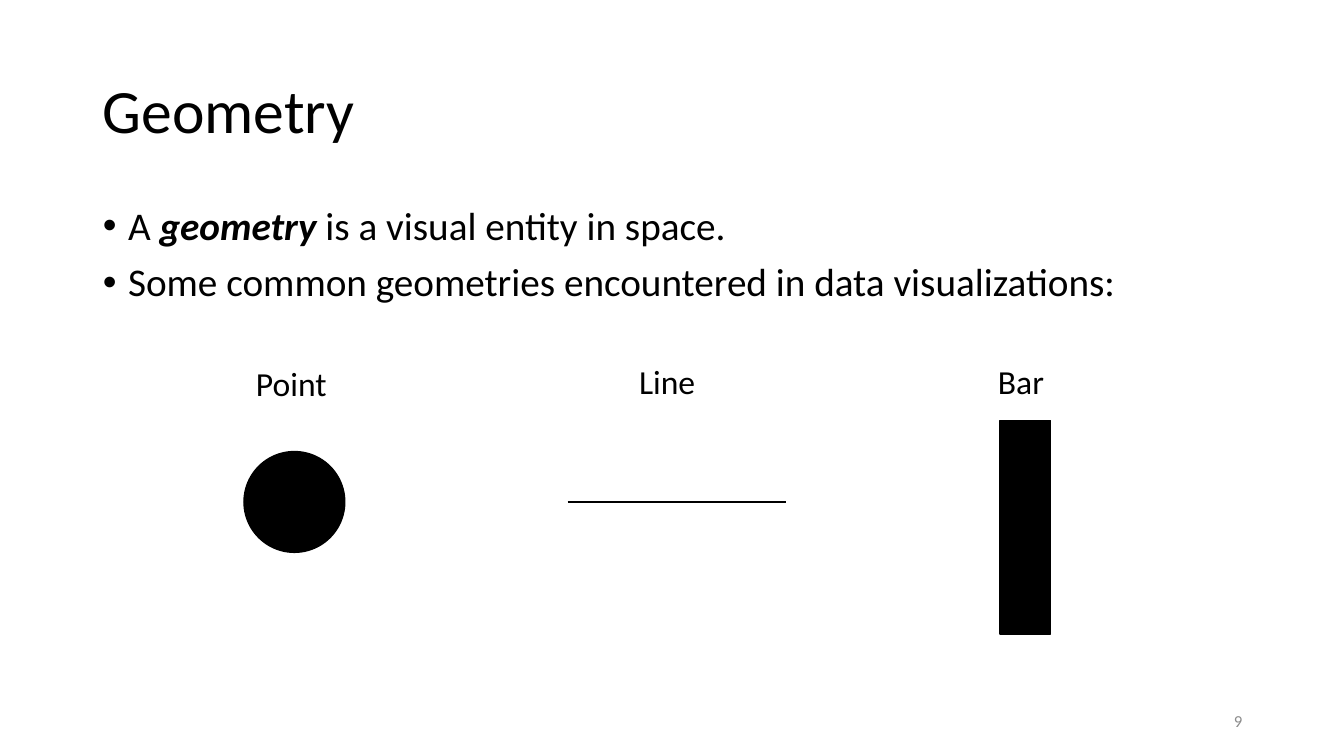
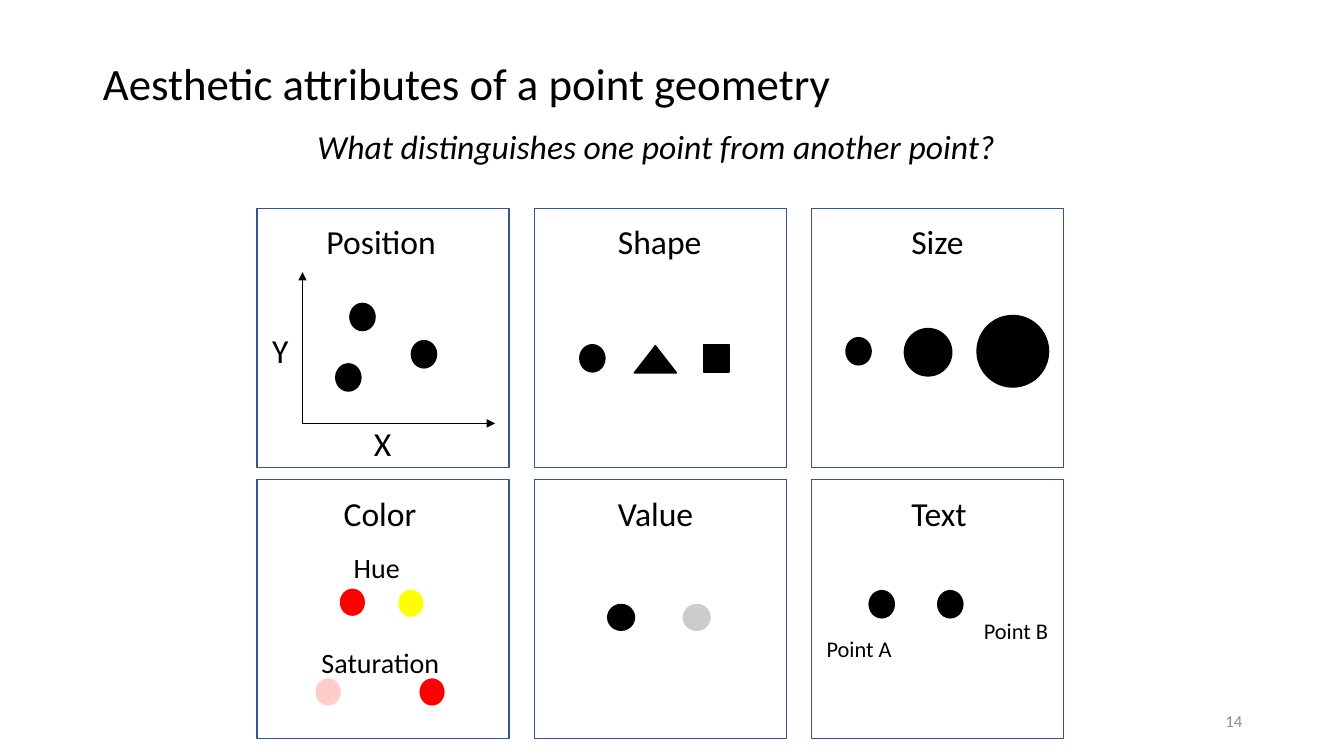
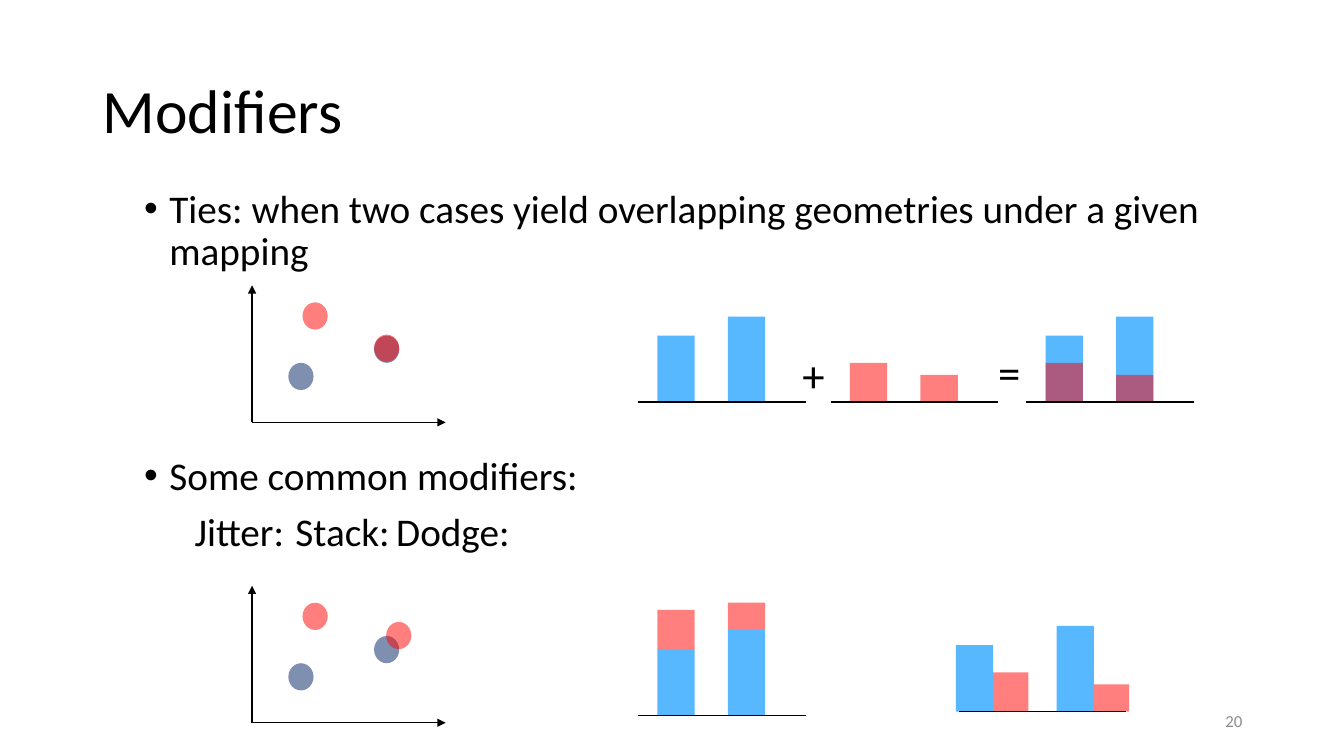
from dataclasses import dataclass
from typing import Optional

import lxml.etree
import pptx
import pptx.dml.color
import pptx.enum.shapes
import pptx.enum.text
import pptx.oxml.ns
import pptx.util

Inches = pptx.util.Inches
Pt = pptx.util.Pt
RGBColor = pptx.dml.color.RGBColor
Preset = pptx.enum.shapes.MSO_SHAPE
Align = pptx.enum.text.PP_ALIGN
Anchor = pptx.enum.text.MSO_ANCHOR
AutoSize = pptx.enum.text.MSO_AUTO_SIZE
qn = pptx.oxml.ns.qn

# Shared style
FONT = "Calibri"
BLACK = RGBColor(0x00, 0x00, 0x00)
GRAY = RGBColor(0x8C, 0x8C, 0x8C)
LIGHT_GRAY = RGBColor(0xCC, 0xCC, 0xCC)
CARD_BLUE = RGBColor(0x32, 0x54, 0x91)
BAR_BLUE = RGBColor(0x57, 0xB7, 0xFF)
NAVY = RGBColor(0x00, 0x20, 0x60)
RED = RGBColor(0xFF, 0x00, 0x00)
PINK = RGBColor(0xFF, 0xCC, 0xCC)
YELLOW = RGBColor(0xFF, 0xFF, 0x00)
TITLE_AND_BODY, TITLE_ONLY = 1, 5
DOT_WIDTH, DOT_HEIGHT = 0.25, 0.27
BAR_WIDTH, BASELINE_WIDTH = 0.37, 1.66
BLUE_HEIGHTS, RED_HEIGHTS = (0.66, 0.85), (0.39, 0.27)
BAR_OFFSETS = (0.19, 0.89)


@dataclass
class Mark:
    """A filled preset shape, by default a dot with a black outline."""
    left: float
    top: float
    width: float = DOT_WIDTH
    height: float = DOT_HEIGHT
    preset: Preset = Preset.OVAL
    fill: Optional[RGBColor] = BLACK
    line: Optional[RGBColor] = BLACK
    opacity: int = 100


@dataclass
class Label:
    text: str
    left: float
    top: float
    width: float
    height: float = 0.46
    size: int = 24
    italic: bool = False
    line_spacing: float = 0.9


@dataclass
class ScatterDot:
    """A dot placed relative to the origin of its axes."""
    x: float
    y: float
    color: RGBColor = BLACK


@dataclass
class Axes:
    left: float
    bottom: float
    width: float
    height: float
    dots: list[ScatterDot]


@dataclass
class BarSeries:
    heights: tuple
    color: RGBColor
    opacity: int = 100
    offsets: tuple = BAR_OFFSETS
    lifts: tuple = (0, 0)


@dataclass
class BarPanel:
    left: float
    baseline: float
    series: list[BarSeries]


def style_paragraph(paragraph, size: int, color: RGBColor = BLACK,
                    line_spacing: float = 0.9) -> None:
    paragraph.line_spacing = line_spacing
    for run in paragraph.runs:
        run.font.name = FONT
        run.font.size = Pt(size)
        run.font.color.rgb = color


def place(shape, left: float, top: float, width: float, height: float) -> None:
    shape.left, shape.top = Inches(left), Inches(top)
    shape.width, shape.height = Inches(width), Inches(height)


def add_mark(slide, mark: Mark) -> None:
    shape = slide.shapes.add_shape(mark.preset, Inches(mark.left), Inches(mark.top),
                                   Inches(mark.width), Inches(mark.height))
    shape.shadow.inherit = False
    if mark.fill is None:
        shape.fill.background()
    else:
        shape.fill.solid()
        shape.fill.fore_color.rgb = mark.fill
    if mark.opacity < 100:
        color = shape.fill._xPr.find(qn("a:solidFill"))[0]
        lxml.etree.SubElement(color, qn("a:alpha")).set("val", str(mark.opacity * 1000))
    if mark.line is None:
        shape.line.fill.background()
    else:
        shape.line.color.rgb = mark.line
        shape.line.width = Pt(1)


def add_line(slide, start: tuple, end: tuple, arrow: bool = False) -> None:
    connector = slide.shapes.add_connector(
        pptx.enum.shapes.MSO_CONNECTOR.STRAIGHT, Inches(start[0]), Inches(start[1]),
        Inches(end[0]), Inches(end[1]))
    connector.line.color.rgb = BLACK
    connector.line.width = Pt(1)
    if arrow:
        tail = lxml.etree.SubElement(connector.line._get_or_add_ln(), qn("a:tailEnd"))
        tail.set("type", "triangle")
    lxml.etree.SubElement(connector._element.spPr, qn("a:effectLst"))


def add_label(slide, label: Label) -> None:
    shape = slide.shapes.add_textbox(Inches(label.left), Inches(label.top),
                                     Inches(label.width), Inches(label.height))
    frame = shape.text_frame
    frame.text = label.text
    frame.word_wrap = False
    frame.auto_size = AutoSize.SHAPE_TO_FIT_TEXT
    style_paragraph(frame.paragraphs[0], label.size, line_spacing=label.line_spacing)
    frame.paragraphs[0].runs[0].font.italic = label.italic


def add_axes(slide, axes: Axes, opacity: int = 100, line: Optional[RGBColor] = None) -> None:
    origin = (axes.left, axes.bottom)
    add_line(slide, origin, (axes.left + axes.width, axes.bottom), arrow=True)
    add_line(slide, origin, (axes.left, axes.bottom - axes.height), arrow=True)
    for dot in axes.dots:
        add_mark(slide, Mark(axes.left + dot.x, axes.bottom - dot.y, fill=dot.color,
                             line=line, opacity=opacity))


def add_bar_panel(slide, panel: BarPanel) -> None:
    for series in panel.series:
        for offset, height, lift in zip(series.offsets, series.heights, series.lifts):
            add_mark(slide, Mark(panel.left + offset, panel.baseline - lift - height,
                                 BAR_WIDTH, height, Preset.RECTANGLE, series.color,
                                 None, series.opacity))
    add_line(slide, (panel.left, panel.baseline),
             (panel.left + BASELINE_WIDTH, panel.baseline))


def add_slide(presentation, layout: int, title: str, number: int,
              title_height: float = 1.45, title_size: int = 44):
    """Add a slide with the shared title and slide number."""
    slide = presentation.slides.add_slide(presentation.slide_layouts[layout])
    place(slide.shapes.title, 0.92, 0.4, 11.5, title_height)
    frame = slide.shapes.title.text_frame
    frame.text = title
    frame.vertical_anchor = Anchor.MIDDLE
    frame.auto_size = AutoSize.NONE
    frame.paragraphs[0].alignment = Align.LEFT
    style_paragraph(frame.paragraphs[0], title_size)

    footer = slide.shapes.add_textbox(Inches(9.42), Inches(6.95), Inches(3), Inches(0.4))
    footer.text_frame.text = str(number)
    footer.text_frame.word_wrap = True
    footer.text_frame.vertical_anchor = Anchor.MIDDLE
    footer.text_frame.paragraphs[0].alignment = Align.RIGHT
    style_paragraph(footer.text_frame.paragraphs[0], 12, GRAY, 1.0)
    return slide


def fill_body(slide, box: tuple, lines: list[str]) -> list:
    """Fill the body placeholder with bullets and return its paragraphs."""
    body = slide.placeholders[1]
    place(body, *box)
    frame = body.text_frame
    frame.auto_size = AutoSize.NONE
    frame.text = "\n".join(lines)
    for paragraph in frame.paragraphs:
        paragraph.space_before = Pt(10)
        style_paragraph(paragraph, 28)
        set_indent(paragraph, 0.25, -0.25)
    return list(frame.paragraphs)


def set_indent(paragraph, margin: float, indent: float) -> None:
    properties = paragraph._p.get_or_add_pPr()
    properties.set("marL", str(Inches(margin)))
    properties.set("indent", str(Inches(indent)))


def set_tab_stops(paragraph, stops: tuple) -> None:
    """Drop the bullet and put the text on left tab stops."""
    set_indent(paragraph, 0, 0)
    properties = paragraph._p.get_or_add_pPr()
    lxml.etree.SubElement(properties, qn("a:buNone"))
    tabs = lxml.etree.SubElement(properties, qn("a:tabLst"))
    for stop in stops:
        tab = lxml.etree.SubElement(tabs, qn("a:tab"))
        tab.set("pos", str(Inches(stop)))
        tab.set("algn", "l")


def build_geometry(presentation) -> None:
    slide = add_slide(presentation, TITLE_AND_BODY, "Geometry", 9)
    definition = fill_body(slide, (0.92, 2, 11.5, 4.76), [
        "A ", "Some common geometries encountered in data visualizations:"])[0]
    term, rest = definition.add_run(), definition.add_run()
    term.text, rest.text = "geometry ", "is a visual entity in space."
    style_paragraph(definition, 28)
    term.font.bold = term.font.italic = True

    # Point, line and bar
    add_mark(slide, Mark(2.42, 4.48, 1, 1))
    add_line(slide, (5.63, 4.98), (7.8, 4.98))
    add_mark(slide, Mark(9.92, 4.17, 0.5, 2.12, Preset.RECTANGLE))
    for label in (Label("Point", 2.44, 3.6, 0.91), Label("Line", 6.24, 3.58, 0.77),
                  Label("Bar", 9.8, 3.58, 0.66)):
        add_label(slide, label)


def build_aesthetics(presentation) -> None:
    slide = add_slide(presentation, TITLE_ONLY, "Aesthetic attributes of a point geometry",
                      14, title_height=0.9, title_size=32)
    add_label(slide, Label("What distinguishes one point from another point?",
                           3.05, 1.25, 7, italic=True))

    # Grid of cards
    for row in range(2):
        for column in range(3):
            add_mark(slide, Mark(2.55 + 2.75 * column, 2.07 + 2.69 * row, 2.5, 2.57,
                                 Preset.RECTANGLE, None, CARD_BLUE))

    # Position
    add_axes(slide, Axes(3, 4.2, 1.91, 1.5, [
        ScatterDot(0.33, 0.59), ScatterDot(0.47, 1.19), ScatterDot(1.08, 0.82)]), line=BLACK)

    marks = [
        # Shape
        Mark(5.75, 3.42), Mark(6.29, 3.43, width=0.42, preset=Preset.ISOSCELES_TRIANGLE),
        Mark(6.98, 3.42, preset=Preset.RECTANGLE),
        # Size
        Mark(8.39, 3.35), Mark(8.97, 3.26, 0.47, 0.47), Mark(9.69, 3.13, 0.71, 0.71),
        # Color
        Mark(3.37, 5.84, fill=RED, line=None), Mark(3.95, 5.85, fill=YELLOW, line=None),
        Mark(3.13, 6.73, fill=PINK, line=None), Mark(4.16, 6.73, fill=RED, line=None),
        # Value
        Mark(6.02, 5.99, width=0.28, line=None),
        Mark(6.77, 5.99, width=0.28, fill=LIGHT_GRAY, line=None),
        # Text
        Mark(8.62, 5.86), Mark(9.3, 5.86),
    ]
    for mark in marks:
        add_mark(slide, mark)

    labels = [
        Label("Position", 3.14, 2.19, 1.3), Label("Shape", 6.03, 2.19, 1.04),
        Label("Size", 8.94, 2.19, 0.73), Label("Color", 3.31, 4.89, 0.93),
        Label("Value", 6.03, 4.89, 0.96), Label("Text", 8.94, 4.89, 0.76),
        Label("Y", 2.6, 3.27, 0.37), Label("X", 3.61, 4.19, 0.38),
        Label("Hue", 3.41, 5.45, 0.66, 0.4, 20),
        Label("Saturation", 3.09, 6.39, 1.38, 0.4, 20),
        Label("Point A", 8.1, 6.28, 0.85, 0.34, 16),
        Label("Point B", 9.66, 6.1, 0.85, 0.34, 16),
    ]
    for label in labels:
        add_label(slide, label)


def build_modifiers(presentation) -> None:
    slide = add_slide(presentation, TITLE_AND_BODY, "Modifiers", 20)
    ties, common, names = fill_body(slide, (1.33, 1.83, 10.67, 4.92), [
        "Ties: when two cases yield overlapping geometries under a given mapping",
        "Some common modifiers:", "\tJitter:\tStack:\tDodge:"])
    common.space_before = Pt(130)
    set_tab_stops(names, (1.05, 5.05, 8.05))

    # Tied points above, jittered points below
    shared_dots = [ScatterDot(0.36, 0.59, NAVY), ScatterDot(0.5, 1.19, RED),
                   ScatterDot(1.21, 0.86, NAVY)]
    for bottom, moved_dot in ((4.19, ScatterDot(1.21, 0.87, RED)),
                              (7.17, ScatterDot(1.33, 1, RED))):
        add_axes(slide, Axes(2.5, bottom, 1.92, 1.36, shared_dots + [moved_dot]), opacity=50)

    # Overlapping bars, then the stacked and dodged versions
    blue = BarSeries(BLUE_HEIGHTS, BAR_BLUE)
    red = BarSeries(RED_HEIGHTS, RED, 50)
    stacked = BarSeries(RED_HEIGHTS, RED, 50, lifts=BLUE_HEIGHTS)
    dodged_blue = BarSeries(BLUE_HEIGHTS, BAR_BLUE, offsets=(-0.03, 0.97))
    dodged_red = BarSeries(RED_HEIGHTS, RED, 50, offsets=(0.32, 1.32))
    for panel in (BarPanel(6.33, 3.99, [blue]), BarPanel(8.24, 3.99, [red]),
                  BarPanel(10.18, 3.99, [blue, red]), BarPanel(6.33, 7.1, [stacked, blue]),
                  BarPanel(9.51, 7.06, [dodged_red, dodged_blue])):
        add_bar_panel(slide, panel)
    for sign, left, top in (("+", 7.86, 3.4), ("=", 9.8, 3.37)):
        add_label(slide, Label(sign, left, top, 0.35, 0.64, 32, line_spacing=1.0))


def main() -> None:
    presentation = pptx.Presentation()
    presentation.slide_width, presentation.slide_height = Inches(13.33), Inches(7.5)
    build_geometry(presentation)
    build_aesthetics(presentation)
    build_modifiers(presentation)
    presentation.save("out.pptx")


if __name__ == "__main__":
    main()
